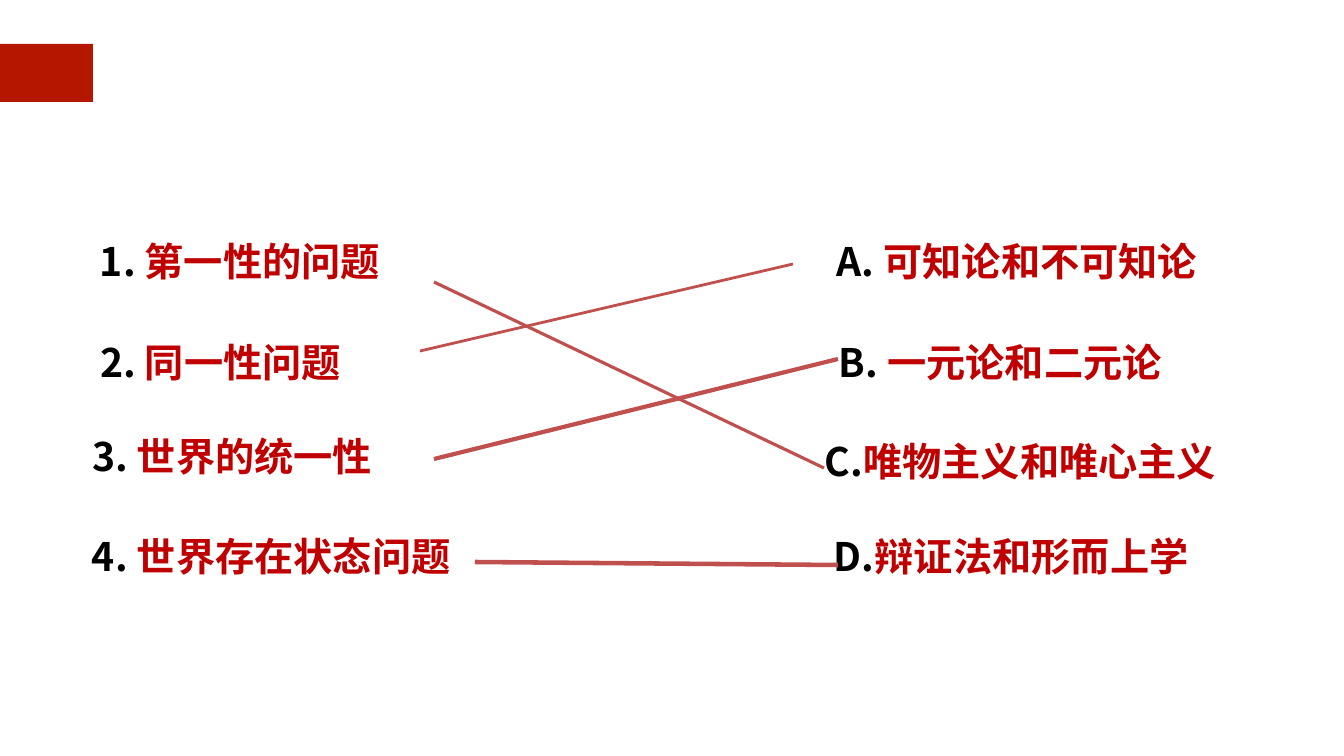
from lxml.etree import SubElement
from pptx import Presentation
from pptx.dml.color import RGBColor
from pptx.enum.shapes import MSO_CONNECTOR, MSO_SHAPE
from pptx.enum.text import MSO_AUTO_SIZE, PP_ALIGN
from pptx.oxml.ns import qn
from pptx.util import Pt

PX = 18143  # EMU per px
WIDTH, HEIGHT = 1344, 756
FONT = "Noto Sans CJK SC"
FONT_SIZE = Pt(56)

BLACK = RGBColor(0x00, 0x00, 0x00)
TERM_RED = RGBColor(0xC0, 0x00, 0x00)
LINK_RED = RGBColor(0xC0, 0x50, 0x4D)
TAB_RED = RGBColor(0xB5, 0x16, 0x00)

TAB = (0, 44, 93, 58)

# label, term, (left, top, width, height), centred
ITEMS = [
    ("1. ", "第一性的问题", (30, 243, 420, 43), True),
    ("2. ", "同一性问题", (100, 338, 460, 47), False),
    ("3. ", "世界的统一性", (92, 432, 516, 47), False),
    ("4. ", "世界存在状态问题", (92, 532, 498, 47), False),
    ("A. ", "可知论和不可知论", (794, 243, 446, 108), True),
    ("B. ", "一元论和二元论", (839, 338, 446, 47), False),
    ("C.", "唯物主义和唯心主义", (769, 443, 503, 43), True),
    ("D.", "辩证法和形而上学", (834, 532, 510, 47), False),
]

# from x, y, to x, y, width in points
LINKS = [
    (434, 282, 824, 468, 4.5),
    (420, 351, 793, 264, 4),
    (434, 459, 838, 359, 6),
    (475, 562, 838, 565, 6.5),
]


def px(*lengths):
    return [length * PX for length in lengths]


def add_run(paragraph, text, color):
    run = paragraph.add_run()
    run.text = text
    font = run.font
    font.name, font.size, font.bold = FONT, FONT_SIZE, True
    font.color.rgb = color
    SubElement(run._r.get_or_add_rPr(), qn("a:ea"), typeface=FONT)


def add_item(slide, label, term, box, centred):
    frame = slide.shapes.add_textbox(*px(*box)).text_frame
    frame.margin_left = frame.margin_right = 0
    frame.margin_top = frame.margin_bottom = 0
    frame.word_wrap = True
    frame.auto_size = MSO_AUTO_SIZE.SHAPE_TO_FIT_TEXT
    paragraph = frame.paragraphs[0]
    if centred:
        paragraph.alignment = PP_ALIGN.CENTER
        paragraph.line_spacing = 0.9
    add_run(paragraph, label, BLACK)
    add_run(paragraph, term, TERM_RED)


def add_link(slide, *ends, width):
    link = slide.shapes.add_connector(MSO_CONNECTOR.STRAIGHT, *px(*ends))
    link.line.color.rgb = LINK_RED
    link.line.width = Pt(width)
    SubElement(link._element.spPr, qn("a:effectLst"))


def main():
    deck = Presentation()
    deck.slide_width, deck.slide_height = px(WIDTH, HEIGHT)
    slide = deck.slides.add_slide(deck.slide_layouts[6])

    tab = slide.shapes.add_shape(MSO_SHAPE.RECTANGLE, *px(*TAB))
    tab.shadow.inherit = False
    tab.fill.solid()
    tab.fill.fore_color.rgb = TAB_RED
    tab.line.fill.background()

    for item in ITEMS:
        add_item(slide, *item)
    for *ends, width in LINKS:
        add_link(slide, *ends, width=width)
    deck.save("out.pptx")


if __name__ == "__main__":
    main()
